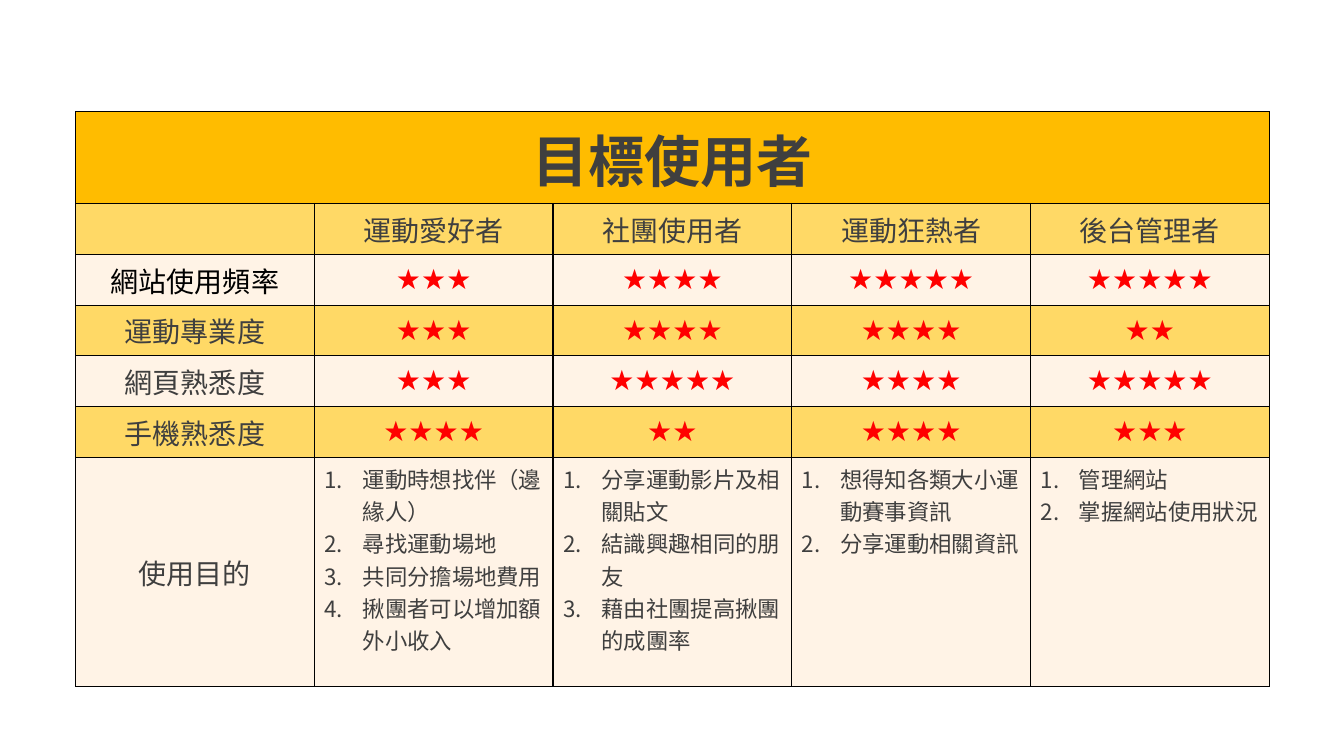
import pptx
import pptx.dml.color
import pptx.enum.text
import pptx.oxml
import pptx.oxml.ns
import pptx.util
from pptx.util import Inches

COLORS = {
    "title": "FFBC00",
    "amber": "FFC000",
    "cream": "FFF3E6",
    "text": "3F3F3F",
    "black": "000000",
    "star": "FF0000",
}
AMBER_ALPHA = 60
FONT = "Arial"
TITLE = "目標使用者"
USERS = ["運動愛好者", "社團使用者", "運動狂熱者", "後台管理者"]
RATINGS = {
    "網站使用頻率": [3, 4, 5, 5],
    "運動專業度": [3, 4, 4, 2],
    "網頁熟悉度": [3, 5, 4, 5],
    "手機熟悉度": [4, 2, 4, 3],
}
PURPOSE_LABEL = "使用目的"
PURPOSES = [
    ["運動時想找伴（邊緣人）", "尋找運動場地", "共同分擔場地費用", "揪團者可以增加額外小收入"],
    ["分享運動影片及相關貼文", "結識興趣相同的朋友", "藉由社團提高揪團的成團率"],
    ["想得知各類大小運動賽事資訊", "分享運動相關資訊"],
    ["管理網站", "掌握網站使用狀況"],
]
TITLE_HEIGHT, RATING_HEIGHT = 0.91, 0.5


def rgb(color):
    return pptx.dml.color.RGBColor.from_string(COLORS[color])


def paint_cell(cell, color):
    """Fill the cell and draw its four borders."""
    cell.fill.solid()
    cell.fill.fore_color.rgb = rgb(color)
    properties = cell._tc.get_or_add_tcPr()
    ns = pptx.oxml.ns.nsdecls("a")
    if color == "amber":
        hue = properties.find(".//" + pptx.oxml.ns.qn("a:srgbClr"))
        hue.append(pptx.oxml.parse_xml(f'<a:alpha {ns} val="{AMBER_ALPHA * 1000}"/>'))
    for position, side in enumerate("LRTB"):
        properties.insert(position, pptx.oxml.parse_xml(
            f'<a:ln{side} {ns} w="12700"><a:solidFill><a:srgbClr val="{COLORS["black"]}"/>'
            f'</a:solidFill><a:prstDash val="solid"/></a:ln{side}>'))


def write(paragraph, text, size, color="text", bold=False):
    run = paragraph.add_run()
    run.text = text
    formats = {"name": FONT, "size": pptx.util.Pt(size), "bold": bold}
    for attribute, value in formats.items():
        setattr(run.font, attribute, value)
    run.font.color.rgb = rgb(color)


def write_centred(cell, text, size=20, color="text", bold=False):
    cell.vertical_anchor = pptx.enum.text.MSO_ANCHOR.MIDDLE
    paragraph = cell.text_frame.paragraphs[0]
    paragraph.alignment = pptx.enum.text.PP_ALIGN.CENTER
    write(paragraph, text, size, color, bold)


def write_numbered(cell, purposes):
    frame = cell.text_frame
    for index, purpose in enumerate(purposes):
        paragraph = frame.add_paragraph() if index else frame.paragraphs[0]
        write(paragraph, purpose, 16)
        properties = paragraph._p.get_or_add_pPr()
        properties.set("marL", str(Inches(0.38)))
        properties.set("indent", str(-Inches(0.38)))
        ns = pptx.oxml.ns.nsdecls("a")
        for bullet in (
            f'<a:buClr {ns}><a:srgbClr val="{COLORS["text"]}"/></a:buClr>',
            f'<a:buFont {ns} typeface="{FONT}"/>',
            f'<a:buAutoNum {ns} type="arabicPeriod"/>',
        ):
            properties.append(pptx.oxml.parse_xml(bullet))


def add_user_table(slide, left, top, width, height):
    row_colors = ["title", "amber"] + ["cream", "amber"] * 2 + ["cream"]
    row_count, column_count = len(row_colors), len(USERS) + 1
    table = slide.shapes.add_table(
        row_count, column_count, Inches(left), Inches(top), Inches(width), Inches(height)).table
    middle_rows = row_count - 2
    purpose_height = height - TITLE_HEIGHT - middle_rows * RATING_HEIGHT
    heights = [TITLE_HEIGHT] + [RATING_HEIGHT] * middle_rows + [purpose_height]
    for row, row_height, color in zip(table.rows, heights, row_colors):
        row.height = Inches(row_height)
        for cell in row.cells:
            paint_cell(cell, color)

    table.cell(0, 0).merge(table.cell(0, column_count - 1))
    write_centred(table.cell(0, 0), TITLE, size=40, bold=True)
    for column, user in enumerate(USERS, 1):
        write_centred(table.cell(1, column), user)
    for row, (criterion, ratings) in enumerate(RATINGS.items(), 2):
        write_centred(table.cell(row, 0), criterion, color="black" if row == 2 else "text")
        for column, stars in enumerate(ratings, 1):
            write_centred(table.cell(row, column), "★" * stars, color="star")
    purpose_row = row_count - 1
    write_centred(table.cell(purpose_row, 0), PURPOSE_LABEL)
    for column, purposes in enumerate(PURPOSES, 1):
        write_numbered(table.cell(purpose_row, column), purposes)


def main():
    presentation = pptx.Presentation()
    presentation.slide_width = Inches(13.33)
    presentation.slide_height = Inches(7.5)
    slide = presentation.slides.add_slide(presentation.slide_layouts[6])
    add_user_table(slide, left=0.75, top=1.11, width=11.84, height=5.68)
    presentation.save("out.pptx")


if __name__ == "__main__":
    main()
